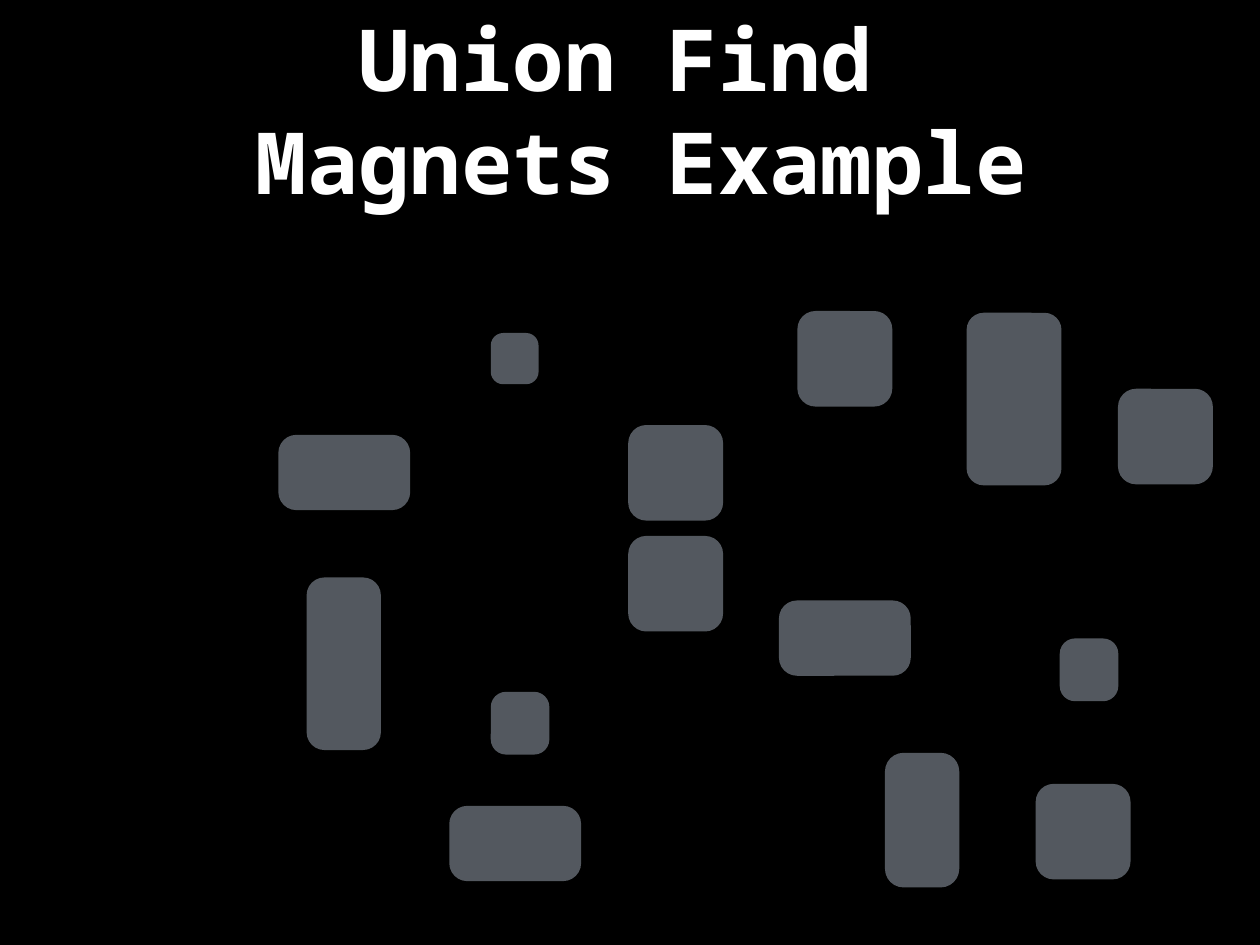
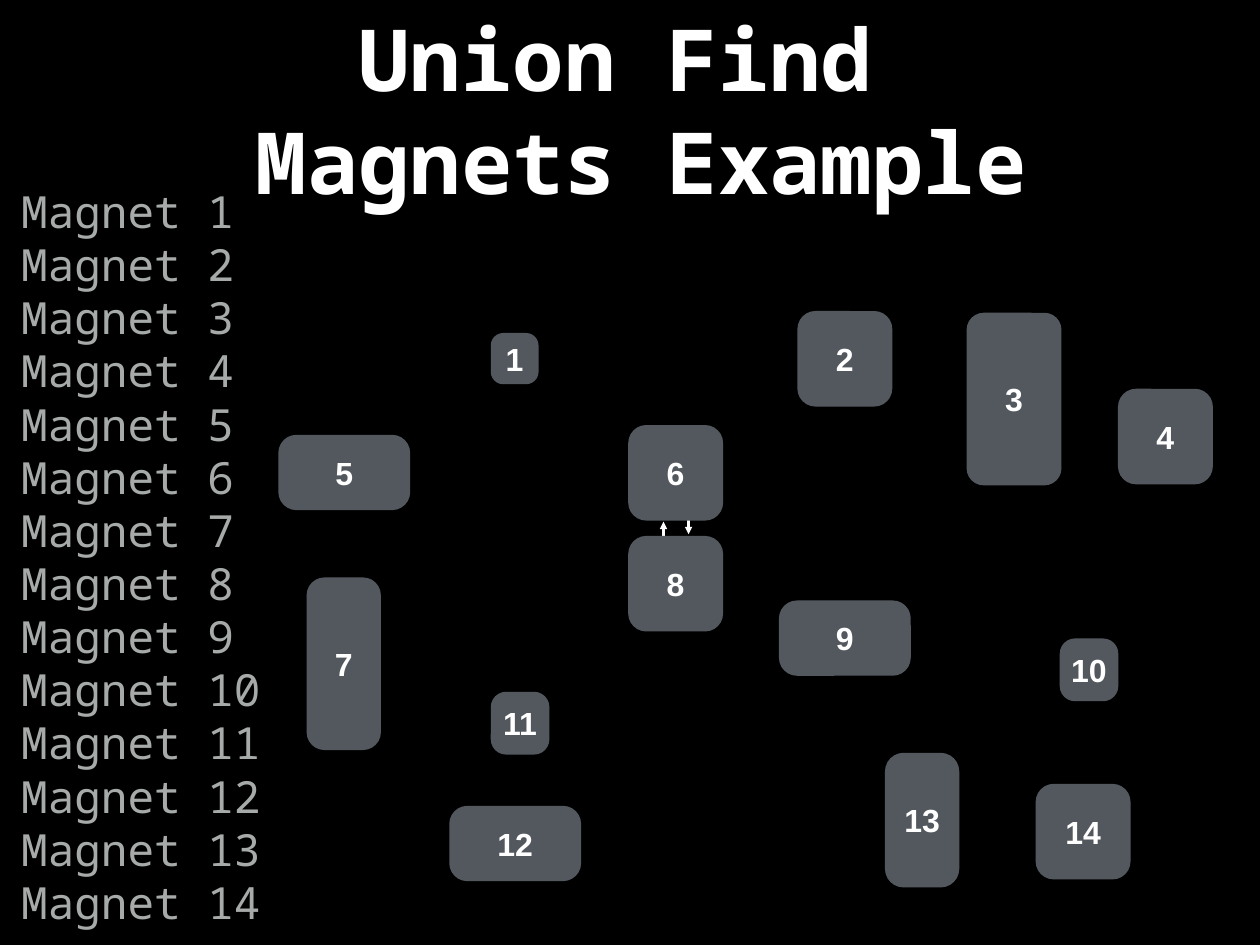
from collections import namedtuple

from lxml import etree
from pptx import Presentation
from pptx.dml.color import RGBColor
from pptx.enum.shapes import MSO_CONNECTOR, MSO_SHAPE
from pptx.enum.text import MSO_ANCHOR, PP_ALIGN
from pptx.oxml.ns import qn
from pptx.util import Cm, Pt

ROUNDED = MSO_SHAPE.ROUNDED_RECTANGLE
STRAIGHT = MSO_CONNECTOR.STRAIGHT
MIDDLE = MSO_ANCHOR.MIDDLE
LEFT, CENTER = PP_ALIGN.LEFT, PP_ALIGN.CENTER

# Shared look
BLACK, WHITE, SLATE, SILVER = "000000", "FFFFFF", "53585F", "A6AAA8"
MONO, SANS = "Noto Sans Mono", "Arial"
TITLE_STYLE = {"name": MONO, "size": Pt(69.6), "bold": True}
LIST_STYLE = {"name": MONO, "size": Pt(36), "bold": False}
NUMBER_STYLE = {"name": SANS, "size": Pt(26), "bold": True}
INSET = Cm(0.15)
FRAME_STYLE = {
    "word_wrap": True, "vertical_anchor": MIDDLE,
    "margin_left": INSET, "margin_right": INSET,
    "margin_top": INSET, "margin_bottom": INSET,
}
TITLE_LINES = ["Union Find ", "Magnets Example"]

# Magnet kinds: width and height in cm, corner rounding
Kind = namedtuple("Kind", "width height rounding")
TINY = Kind(1.37, 1.47, 0.26)
SMALL = Kind(1.68, 1.8, 0.26)
SQUARE = Kind(2.72, 2.74, 0.19)
WIDE = Kind(3.78, 2.16, 0.24)
UPRIGHT = Kind(2.13, 3.86, 0.25)
TALL = Kind(2.13, 4.95, 0.24)
LARGE = Kind(2.72, 4.95, 0.18)

# Magnets in numbered order: kind, left, top
MAGNETS = [
    (TINY, 14.07, 9.55),
    (SQUARE, 22.86, 8.92),
    (LARGE, 27.71, 8.97),
    (SQUARE, 32.05, 11.15),
    (WIDE, 7.98, 12.47),
    (SQUARE, 18.01, 12.19),
    (TALL, 8.79, 16.56),
    (SQUARE, 18.01, 15.37),
    (WIDE, 22.33, 17.22),
    (SMALL, 30.38, 18.31),
    (SMALL, 14.07, 19.84),
    (WIDE, 12.88, 23.11),
    (UPRIGHT, 25.37, 21.59),
    (SQUARE, 29.69, 22.48),
]

# Attraction between magnets 6 and 8: x, start y, end y
ATTRACTIONS = [(19.02, 15.47, 14.96), (19.74, 14.83, 15.32)]


def colour(value):
    return RGBColor.from_string(value)


def apply_format(target, values):
    for name, value in values.items():
        setattr(target, name, value)


def write_lines(shape, lines, style, text_colour, alignment):
    frame = shape.text_frame
    apply_format(frame, FRAME_STYLE)
    for index, line in enumerate(lines):
        paragraph = frame.add_paragraph() if index else frame.paragraphs[0]
        paragraph.alignment = alignment
        run = paragraph.add_run()
        run.text = line
        apply_format(run.font, style)
        run.font.color.rgb = colour(text_colour)


def add_text(slide, box, lines, style, text_colour, alignment):
    shape = slide.shapes.add_textbox(*map(Cm, box))
    write_lines(shape, lines, style, text_colour, alignment)


def add_magnet(slide, kind, left, top, label):
    box = (left, top, kind.width, kind.height)
    shape = slide.shapes.add_shape(ROUNDED, *map(Cm, box))
    shape.adjustments[0] = kind.rounding
    shape.shadow.inherit = False
    shape.fill.solid()
    shape.fill.fore_color.rgb = colour(SLATE)
    shape.line.fill.background()
    if label:
        write_lines(shape, [label], NUMBER_STYLE, WHITE, CENTER)


def add_magnets(slide, numbered):
    for number, (kind, left, top) in enumerate(MAGNETS, 1):
        add_magnet(slide, kind, left, top, str(number) if numbered else "")


def add_arrow(slide, x, start, end):
    arrow = slide.shapes.add_connector(STRAIGHT, Cm(x), Cm(start), Cm(x), Cm(end))
    arrow.line.color.rgb = colour(WHITE)
    arrow.line.width = Pt(2)
    properties = arrow.line._get_or_add_ln()
    etree.SubElement(properties, qn("a:tailEnd"), type="triangle")
    etree.SubElement(arrow._element.spPr, qn("a:effectLst"))


def add_titled_slide(presentation):
    slide = presentation.slides.add_slide(presentation.slide_layouts[6])
    background = slide.background.fill
    background.solid()
    background.fore_color.rgb = colour(BLACK)
    add_text(slide, (0.64, 0.13, 35.48, 6), TITLE_LINES, TITLE_STYLE, WHITE, CENTER)
    return slide


def main():
    presentation = Presentation()
    presentation.slide_width = Cm(36.12)
    presentation.slide_height = Cm(27.1)

    # Slide 1: the loose magnets
    add_magnets(add_titled_slide(presentation), numbered=False)

    # Slide 2: numbered magnets, with 6 and 8 attracting each other
    slide = add_titled_slide(presentation)
    for attraction in ATTRACTIONS:
        add_arrow(slide, *attraction)
    add_magnets(slide, numbered=True)
    names = [f"Magnet {number}" for number in range(1, len(MAGNETS) + 1)]
    add_text(slide, (0.46, 5.69, 7.39, 20.52), names, LIST_STYLE, SILVER, LEFT)

    presentation.save("out.pptx")


main()
